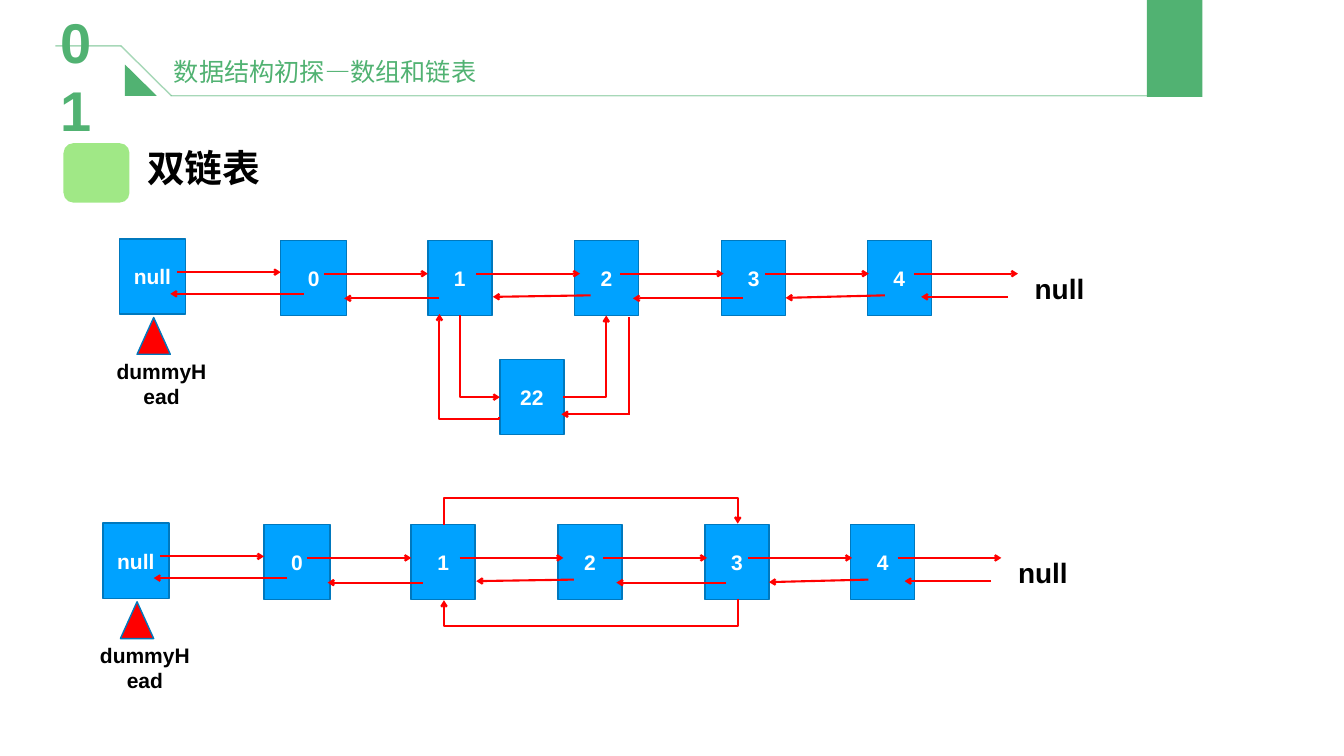
import pptx
import pptx.util
import pptx.dml.color
import pptx.enum.shapes
import pptx.enum.text
import pptx.oxml.ns
import lxml.etree

PX = 9144  # one px is a hundredth of an inch
RGB = pptx.dml.color.RGBColor
BLUE = RGB(0x00, 0xA2, 0xFF)
EDGE = RGB(0x00, 0x78, 0xBD)
RED = RGB(0xFF, 0x00, 0x00)
GREEN = RGB(0x51, 0xB2, 0x72)
LIME = RGB(0xA0, 0xE8, 0x86)
BLACK = RGB(0x00, 0x00, 0x00)
WHITE = RGB(0xFF, 0xFF, 0xFF)

KIND = pptx.enum.shapes.MSO_SHAPE
LINE = pptx.enum.shapes.MSO_CONNECTOR
ALIGN = pptx.enum.text.PP_ALIGN
MID = pptx.enum.text.MSO_ANCHOR.MIDDLE
TOP = pptx.enum.text.MSO_ANCHOR.TOP
qn = pptx.oxml.ns.qn

deck = pptx.Presentation()
deck.slide_width = 2667 * PX
deck.slide_height = 1500 * PX
slide = deck.slides.add_slide(deck.slide_layouts[5])
shapes = slide.shapes


def write(shape, text, size, color, bold=True, align=ALIGN.CENTER, anchor=MID, pad=(20, 10)):
    frame = shape.text_frame
    frame.text = text
    frame.word_wrap = True
    frame.auto_size = pptx.enum.text.MSO_AUTO_SIZE.NONE
    frame.vertical_anchor = anchor
    frame.margin_left = frame.margin_right = pad[0] * PX
    frame.margin_top = frame.margin_bottom = pad[1] * PX
    par = frame.paragraphs[0]
    par.alignment = align
    font = par.runs[0].font
    font.name = "Arial"
    font.size = pptx.util.Pt(size)
    font.bold = bold
    font.color.rgb = color


def link(x1, y1, x2, y2, color=RED, width=3, kind=LINE.STRAIGHT, head=True):
    line = shapes.add_connector(kind, x1 * PX, y1 * PX, x2 * PX, y2 * PX)
    line.line.color.rgb = color
    line.line.width = pptx.util.Pt(width)
    props = line._element.spPr
    if head:
        lxml.etree.SubElement(props.find(qn("a:ln")), qn("a:tailEnd"), type="arrow")
    lxml.etree.SubElement(props, qn("a:effectLst"))
    return props


# Nodes: label, left, top, width
nodes = [("null", 237, 474, 131), ("0", 557, 477, 131), ("1", 849, 477, 127),
         ("2", 1140, 477, 127), ("3", 1432, 477, 127), ("4", 1721, 477, 127)]
nexts = [(351, 540), (643, 543), (945, 543), (1230, 543), (1518, 543), (1814, 543)]
prevs = [(603, 583, 338, 583), (872, 592, 683, 592), (1172, 586, 978, 589),
         (1474, 592, 1256, 592), (1756, 586, 1559, 591), (2000, 589, 1828, 589)]

# Two lists, the second lower and a little to the left
for dx, dy, extra in [(0, 0, [("22", 992, 713, 127)]), (-33, 564, [])]:
    for label, x, y, w in nodes + extra:
        box = shapes.add_shape(KIND.RECTANGLE, (x + dx) * PX, (y + dy) * PX, w * PX, 149 * PX)
        box.shadow.inherit = False
        box.fill.solid()
        box.fill.fore_color.rgb = BLUE
        box.line.color.rgb = EDGE
        box.line.width = pptx.util.Pt(2)
        write(box, label, 30, WHITE)

    for x, y in nexts:
        link(x + dx, y + dy, x + 206 + dx, y + dy)
    for x1, y1, x2, y2 in prevs:
        link(x1 + dx, y1 + dy, x2 + dx, y2 + dy)

    tail = shapes.add_textbox((2026 + dx) * PX, (529 + dy) * PX, 153 * PX, 88 * PX)
    write(tail, "null", 40, BLACK, anchor=TOP)

    # Pointer to the dummy head
    mark = shapes.add_shape(KIND.ISOSCELES_TRIANGLE, (272 + dx) * PX, (630 + dy) * PX, 66 * PX, 73 * PX)
    mark.shadow.inherit = False
    mark.fill.solid()
    mark.fill.fore_color.rgb = RED
    mark.line.color.rgb = EDGE
    mark.line.width = pptx.util.Pt(2)
    name = shapes.add_textbox((215 + dx) * PX, (706 + dy) * PX, 211 * PX, 61 * PX)
    write(name, "dummyHead", 30, BLACK, anchor=TOP, pad=(10, 5))

# Bent links: ends before turning, turn in degrees, preset, bend
bends = [((1033, 667, 871, 747), 270, "bentConnector2", None),
         ((829, 785, 1034, 666), 270, "bentConnector3", -1400),
         ((1118, 788, 1203, 626), 0, "bentConnector2", None),
         ((1174, 1332, 1171, 749), 90, "bentConnector3", 1800000),
         ((1171, 898, 1174, 1481), 90, "bentConnector3", 1800000)]
for ends, turn, preset, bend in bends:
    props = link(*ends, kind=LINE.ELBOW)
    props.find(qn("a:xfrm")).set("rot", str(turn * 60000))
    geom = props.find(qn("a:prstGeom"))
    geom.set("prst", preset)
    if bend is not None:
        lxml.etree.SubElement(geom.find(qn("a:avLst")), qn("a:gd"), name="adj1", fmla=f"val {bend}")

# Link from node 2 back to 22
link(1248, 629, 1248, 822, head=False)
link(1250, 822, 1114, 822)

# Header rule
for ends in [(339, 190, 2284, 190), (240, 91, 340, 190), (110, 91, 241, 91)]:
    props = link(*ends, color=GREEN, width=2, head=False)
    tint = props.find(".//" + qn("a:srgbClr"))
    lxml.etree.SubElement(tint, qn("a:alpha"), val="50000")

# Header blocks and heading mark
path = shapes.build_freeform(248, 128, scale=PX)
path.add_line_segments([(248, 190), (311, 190)], close=True)
wedge = path.convert_to_shape()
block = shapes.add_shape(KIND.RECTANGLE, 2276 * PX, 0, 110 * PX, 192 * PX)
badge = shapes.add_shape(KIND.ROUNDED_RECTANGLE, 126 * PX, 284 * PX, 131 * PX, 118 * PX)
for shape, color in [(wedge, GREEN), (block, GREEN), (badge, LIME)]:
    shape.shadow.inherit = False
    shape.fill.solid()
    shape.fill.fore_color.rgb = color
    shape.line.fill.background()

# Header text and heading
title = shapes.title
title.left, title.top, title.width, title.height = 339 * PX, 105 * PX, 630 * PX, 72 * PX
write(title, "数据结构初探—数组和链表", 36, GREEN, bold=False, align=ALIGN.LEFT, pad=(6, 6))
part = shapes.add_textbox(115 * PX, 76 * PX, 124 * PX, 146 * PX)
write(part, "01", 80, GREEN, align=ALIGN.LEFT, pad=(6, 6))
topic = shapes.add_textbox(270 * PX, 278 * PX, 269 * PX, 111 * PX)
write(topic, "双链表", 54, BLACK, anchor=TOP)

deck.save("out.pptx")
